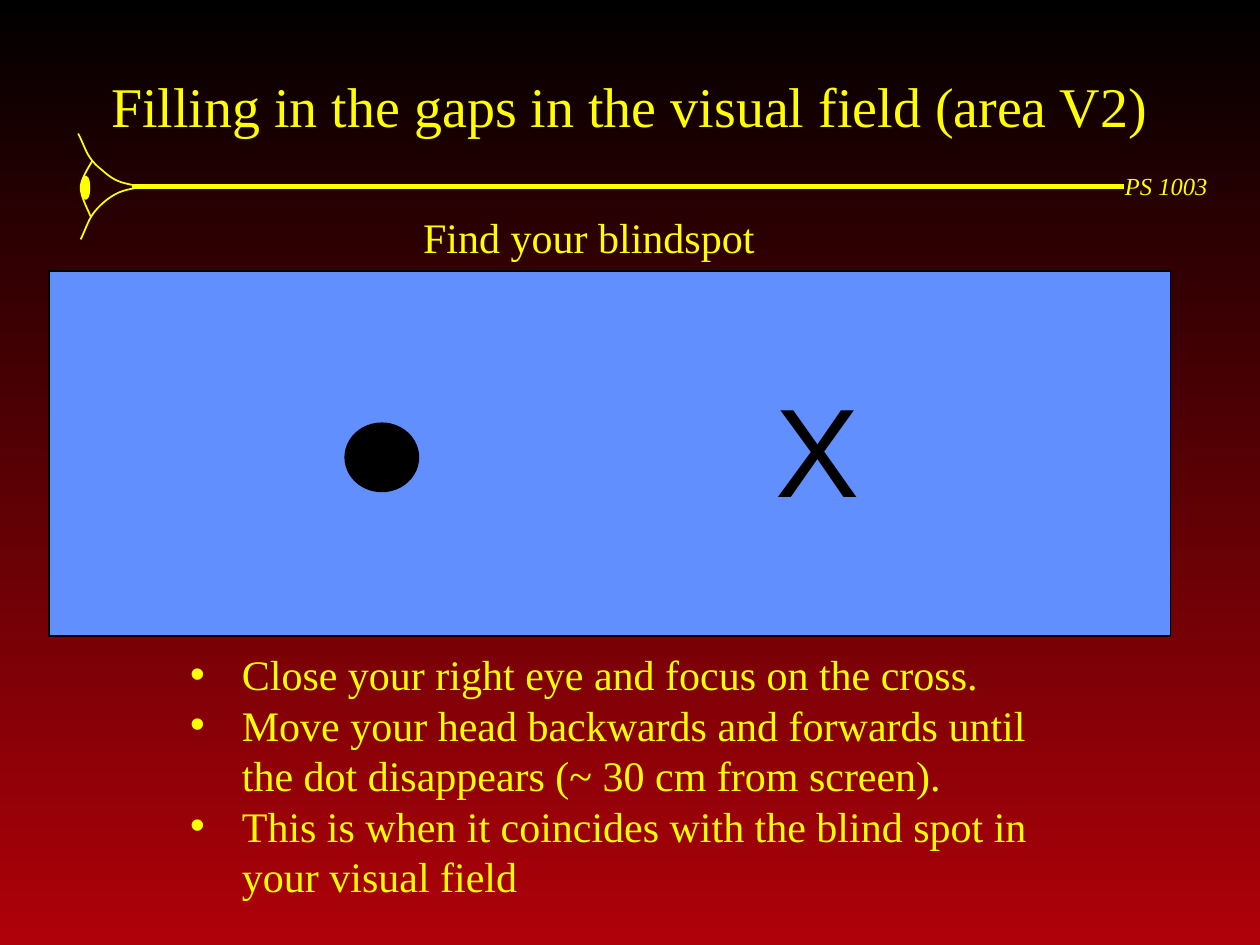
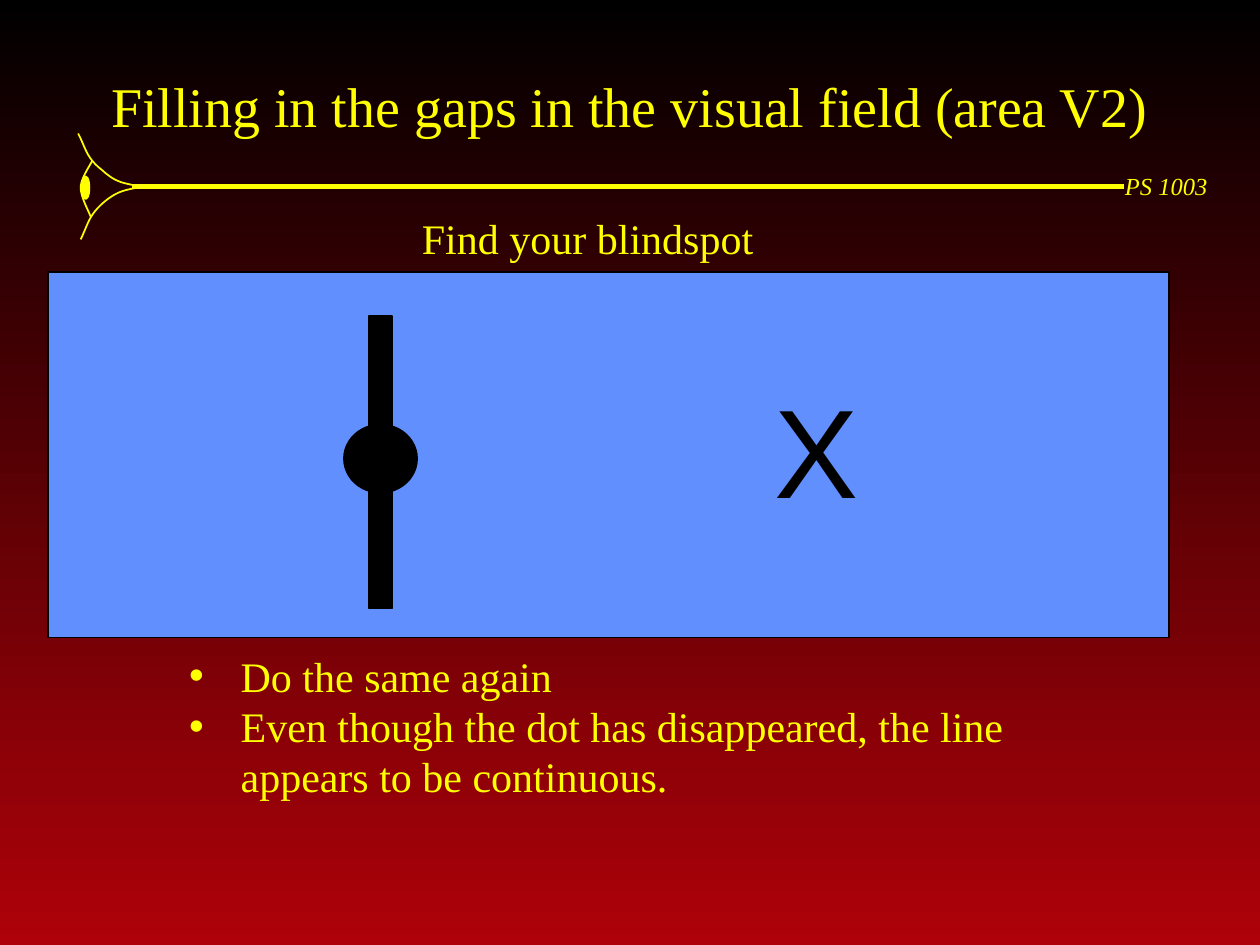
import pptx
import pptx.util
import pptx.dml.color
import pptx.enum.shapes
import pptx.enum.text
import pptx.oxml

COLS, ROWS = 100, 75
WIDE, HIGH = pptx.util.Inches(10), pptx.util.Inches(7.5)
YELLOW, BLACK, RED, BLUE = "FFFF00", "000000", "AF0109", "618FFD"
SERIF, SANS = "Times New Roman", "Arial"
KIND = pptx.enum.shapes.MSO_SHAPE
ALIGN = pptx.enum.text.PP_ALIGN
ANCHOR = pptx.enum.text.MSO_ANCHOR
LEAD = 1.2  # line height as a share of the text size

TITLE = "Filling in the gaps in the visual field (area V2)"
# Each slide: corner of its panel, whether a bar crosses the dot, its steps
SLIDES = [
    ((3.9, 21.5), False, [
        "Close your right eye and focus on the cross.",
        "Move your head backwards and forwards until the dot disappears "
        "(~ 30 cm from screen).",
        "This is when it coincides with the blind spot in your visual field",
    ]),
    ((3.8, 21.6), True, [
        "Do the same again",
        "Even though the dot has disappeared, the line appears to be "
        "continuous.",
    ]),
]


def col(n):
    return round(n * WIDE / COLS)


def row(n):
    return round(n * HIGH / ROWS)


def place(box):
    left, top, wide, high = box
    return col(left), row(top), col(wide), row(high)


def inner(box, left, top, wide, high):
    """Box offset from the corner of another box."""
    return box[0] + left, box[1] + top, wide, high


def rgb(tint):
    return pptx.dml.color.RGBColor.from_string(tint)


def apply(item, form):
    for name, value in form.items():
        setattr(item, name, value)


def ink(line, tint, width=1):
    line.color.rgb = rgb(tint)
    line.width = pptx.util.Pt(width)


def write(shape, lines, size, tint=YELLOW, face=SERIF, italic=False,
          align=ALIGN.LEFT, anchor=ANCHOR.TOP, wrap=True):
    frame = shape.text_frame
    apply(frame, {"word_wrap": wrap, "vertical_anchor": anchor,
                  "auto_size": pptx.enum.text.MSO_AUTO_SIZE.NONE})
    frame.text = "\n".join(lines)
    for para in frame.paragraphs:
        apply(para, {"alignment": align, "space_before": pptx.util.Pt(0),
                     "line_spacing": pptx.util.Pt(size * LEAD)})
        for run in para.runs:
            apply(run.font, {"size": pptx.util.Pt(size), "name": face,
                             "italic": italic})
            run.font.color.rgb = rgb(tint)


def label(slide, box, text, size, **form):
    shape = slide.shapes.add_textbox(*place(box))
    write(shape, [text], size, wrap=False, **form)


def solid(slide, kind, box, fill, edge):
    shape = slide.shapes.add_shape(kind, *place(box))
    shape.shadow.inherit = False
    shape.fill.solid()
    shape.fill.fore_color.rgb = rgb(fill)
    ink(shape.line, edge)


def bezier(knots, steps=12):
    """Points along a chain of cubic curves."""
    points = [knots[0]]
    for i in range(0, len(knots) - 1, 3):
        for k in range(1, steps + 1):
            t = k / steps
            parts = ((1 - t) ** 3, 3 * t * (1 - t) ** 2,
                     3 * t * t * (1 - t), t ** 3)
            points.append(tuple(
                sum(part * knot[axis]
                    for part, knot in zip(parts, knots[i:i + 4]))
                for axis in (0, 1)))
    return points


def curve(slide, box, knots):
    points = [(col(box[0] + x), row(box[1] + y)) for x, y in bezier(knots)]
    pen = slide.shapes.build_freeform(*points[0])
    pen.add_line_segments(points[1:], close=False)
    shape = pen.convert_to_shape()
    shape.shadow.inherit = False
    shape.fill.background()
    ink(shape.line, YELLOW)


def backdrop(deck):
    fill = deck.slide_master.background.fill
    fill.gradient()
    fill.gradient_angle = 270
    for stop, tint in zip(fill.gradient_stops, (BLACK, RED)):
        stop.color.rgb = rgb(tint)


def eye(slide, box):
    # Upper lid, lower lid, front of the eyeball
    curve(slide, box, [(0, 0), (.6, 1.1), (.6, 1.9), (1.9, 2.9),
                       (3.1, 4), (3.7, 3.9), (4.8, 4.2)])
    curve(slide, box, [(.2, 8.4), (.8, 7.2), (.8, 6.5), (2.1, 5.4),
                       (3.3, 4.4), (4, 4.5), (5, 4.2)])
    curve(slide, box, [(1.1, 2.2), (.9, 2.6), (.2, 3.6), (.2, 4.3),
                       (.2, 5), (.8, 6.1), (1, 6.6)])
    # Pupil
    solid(slide, KIND.OVAL, inner(box, .3, 3.4, .6, 1.8), YELLOW, YELLOW)


def band(slide, box):
    left, top, wide, high = box
    mid = row(top + high / 2)
    rule = slide.shapes.add_connector(
        pptx.enum.shapes.MSO_CONNECTOR.STRAIGHT,
        col(left + 4.3), mid, col(left + 83), mid)
    ink(rule.line, YELLOW, 3)
    rule._element.spPr.append(
        pptx.oxml.parse_xml('<a:effectLst xmlns:a="http://schemas.'
                            'openxmlformats.org/drawingml/2006/main"/>'))
    eye(slide, box)
    label(slide, inner(box, 82.1, 2.5, 8.5, 3.4), "PS 1003", 14, italic=True)


def heading(slide, box):
    shape = slide.shapes.title
    apply(shape, dict(zip(("left", "top", "width", "height"), place(box))))
    write(shape, [TITLE], 32, align=ALIGN.CENTER, anchor=ANCHOR.MIDDLE)


def steps(slide, box, lines):
    shape = slide.placeholders[1]
    apply(shape, dict(zip(("left", "top", "width", "height"), place(box))))
    write(shape, lines, 24)
    for para in shape.text_frame.paragraphs:
        props = para._p.get_or_add_pPr()
        props.set("marL", str(col(4.1)))
        props.set("indent", str(-col(4.1)))


def panel(slide, box, barred):
    label(slide, inner(box, 28.7, -5.2, 28.3, 5), "Find your blindspot", 24)
    solid(slide, KIND.RECTANGLE, box, BLUE, BLACK)
    # Dot, cross and bar
    solid(slide, KIND.OVAL, inner(box, 23.5, 12.1, 5.8, 5.4), BLACK, BLACK)
    label(slide, inner(box, 56.7, 7.5, 8.6, 13), "X", 72,
          tint=BLACK, face=SANS)
    if barred:
        solid(slide, KIND.RECTANGLE, inner(box, 25.5, 3.5, 1.8, 23.2),
              BLACK, BLACK)


def test(deck, corner, barred, lines):
    slide = deck.slides.add_slide(deck.slide_layouts[1])
    box = (*corner, 89, 29)
    band(slide, (6.2, 10.6, 90.6, 8.4))
    heading(slide, (7.5, 2.1, 85, 12.5))
    panel(slide, box, barred)
    steps(slide, inner(box, 10.2, 29.5, 72.8, 21), lines)


def main():
    deck = pptx.Presentation()
    deck.slide_width, deck.slide_height = WIDE, HIGH
    backdrop(deck)
    for corner, barred, lines in SLIDES:
        test(deck, corner, barred, lines)
    deck.save("out.pptx")


if __name__ == "__main__":
    main()
